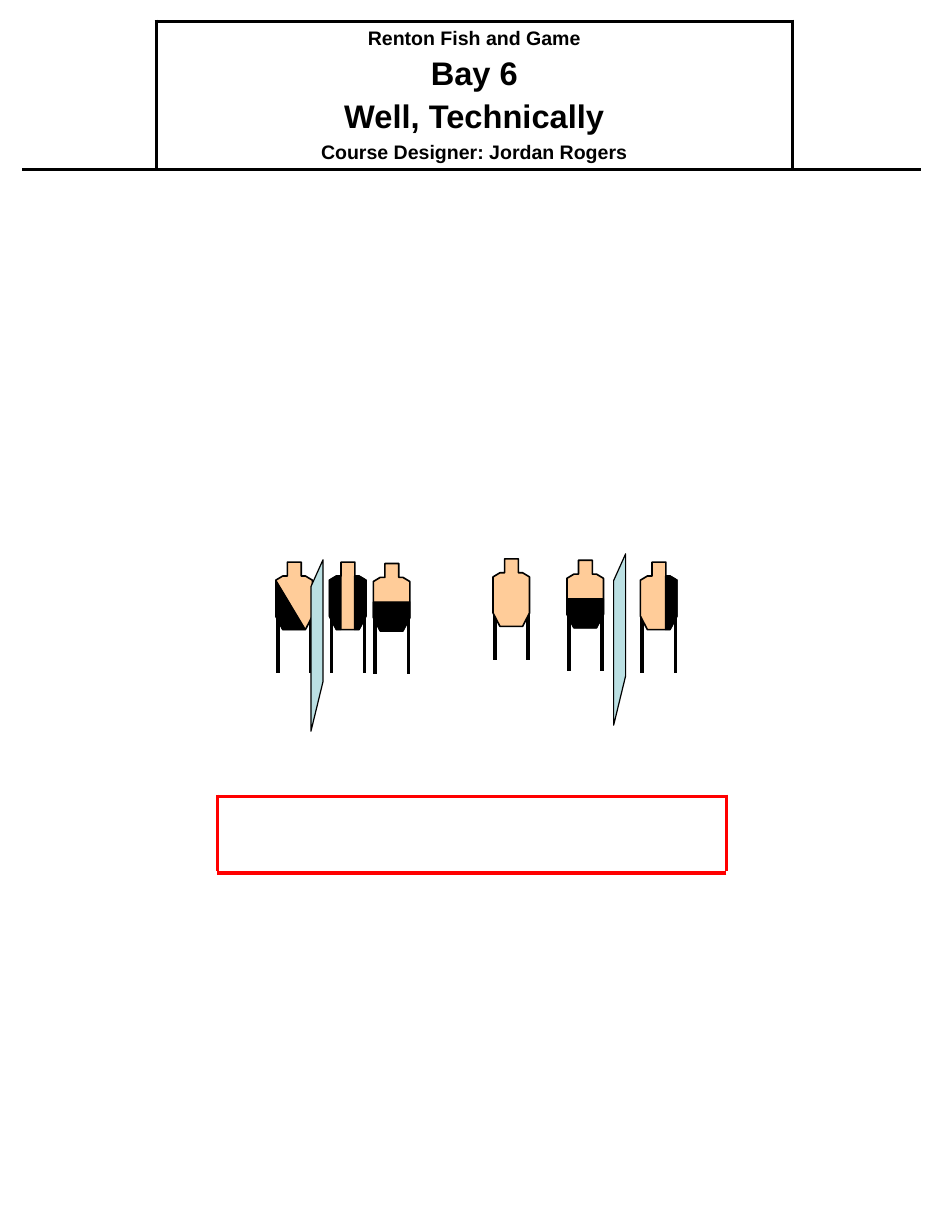
"""Build the Bay 6 course-of-fire stage diagram."""
from dataclasses import dataclass

from lxml import etree
from pptx import Presentation
from pptx.dml.color import RGBColor
from pptx.enum.shapes import MSO_CONNECTOR
from pptx.enum.text import MSO_ANCHOR, PP_ALIGN
from pptx.oxml.ns import qn
from pptx.shapes.shapetree import GroupShapes, SlideShapes
from pptx.table import _Cell
from pptx.util import Cm, Pt

STRAIGHT = MSO_CONNECTOR.STRAIGHT
MIDDLE = MSO_ANCHOR.MIDDLE
CENTER = PP_ALIGN.CENTER

BLACK, WHITE, RED = "000000", "FFFFFF", "FF0000"
CARDBOARD, WALL_BLUE = "FFCC99", "BBE0E3"

Shapes = SlideShapes | GroupShapes
Point = tuple[float, float]
Outline = list[Point]

TARGET_WIDTH = 0.79
SILHOUETTE: Outline = [
    (0.25, 0), (0.55, 0), (0.55, 0.3), (0.64, 0.3), (0.79, 0.39), (0.79, 1.17),
    (0.64, 1.46), (0.15, 1.46), (0, 1.17), (0, 0.39), (0.15, 0.3), (0.25, 0.3),
]
DIAGONAL: Outline = [(0, 0.39), (0, 1.17), (0.15, 1.46), (0.64, 1.46)]
LOWER: Outline = [
    (0, 0.83), (0.79, 0.83), (0.79, 1.17), (0.64, 1.46), (0.15, 1.46), (0, 1.17),
]
RIGHT_SIDE: Outline = [
    (0.54, 0.3), (0.54, 1.46), (0.64, 1.46), (0.79, 1.17), (0.79, 0.39), (0.64, 0.3),
]
LEFT_SIDE: Outline = [(TARGET_WIDTH - x, y) for x, y in RIGHT_SIDE]
WALL: Outline = [(0, 3.71), (0, 0.58), (0.26, 0), (0.26, 2.64)]


@dataclass(frozen=True)
class Target:
    """A cardboard target on two legs with its black hard cover."""
    left: float
    top: float
    hard_covers: tuple[Outline, ...] = ()
    leg_end: float = 2.39


@dataclass(frozen=True)
class Heading:
    """One line of the title block."""
    text: str
    size: float
    space_before: float


TARGETS = [
    Target(5.97, 12.17, (DIAGONAL,)),
    Target(7.13, 12.17, (LEFT_SIDE, RIGHT_SIDE)),
    Target(8.08, 12.2, (LOWER,)),
    Target(10.67, 12.1, leg_end=2.19),
    Target(12.27, 12.13, (LOWER,)),
    Target(13.86, 12.17, (RIGHT_SIDE,)),
]
WALL_CORNERS: Outline = [(6.73, 12.12), (13.28, 11.99)]
HEADINGS = [
    Heading("Renton Fish and Game", 12, 0),
    Heading("Bay 6", 20, 4),
    Heading("Well, Technically", 20, 4),
    Heading("Course Designer: Jordan Rogers", 12, 4.2),
]
TITLE_COLUMNS = [2.9, 13.77, 2.79]
TITLE_BORDERS = ["RB", "LRTB", "LB"]


def color(hex_code: str) -> RGBColor:
    """Turn a hex string into a colour."""
    return RGBColor.from_string(hex_code)


def draw_line(shapes: Shapes, start: Point, end: Point, hex_code: str, width: float) -> None:
    """Draw a straight line without a shadow."""
    line = shapes.add_connector(STRAIGHT, Cm(start[0]), Cm(start[1]), Cm(end[0]), Cm(end[1]))
    line.line.color.rgb = color(hex_code)
    line.line.width = Pt(width)
    etree.SubElement(line._element.spPr, qn("a:effectLst"))


def draw_outline(shapes: Shapes, outline: Outline, corner: Point, fill: str, width: float) -> None:
    """Draw a closed black-edged outline placed at a corner."""
    points = [(Cm(corner[0] + x), Cm(corner[1] + y)) for x, y in outline]
    builder = shapes.build_freeform(*points[0])
    builder.add_line_segments(points[1:], close=True)
    shape = builder.convert_to_shape()
    shape.shadow.inherit = False
    shape.fill.solid()
    shape.fill.fore_color.rgb = color(fill)
    shape.line.color.rgb = color(BLACK)
    shape.line.width = Pt(width)


def draw_target(shapes: Shapes, target: Target) -> None:
    """Draw one target as a group."""
    parts = shapes.add_group_shape().shapes
    for leg in (0.04, 0.76):
        x = target.left + leg
        draw_line(parts, (x, target.top + 1.08), (x, target.top + target.leg_end), BLACK, 2.25)
    corner = (target.left, target.top)
    draw_outline(parts, SILHOUETTE, corner, CARDBOARD, 1)
    for cover in target.hard_covers:
        draw_outline(parts, cover, corner, BLACK, 0.75)


def draw_fault_lines(shapes: Shapes) -> None:
    """Draw the red shooting area as a group of four lines."""
    parts = shapes.add_group_shape().shapes
    left, right = 4.7, 15.72
    for y in (17.25, 18.9):
        draw_line(parts, (right, y), (left, y), RED, 2)
    for x in (left, right):
        draw_line(parts, (x, 17.2), (x, 18.85), RED, 2)


def style_cell(cell: _Cell, sides: str) -> None:
    """Give a cell black borders on the named sides and a white fill."""
    properties = cell._tc.get_or_add_tcPr()
    for side in "LRTB":
        border = etree.SubElement(properties, qn(f"a:ln{side}"), w=str(Pt(2.25)))
        if side in sides:
            fill = etree.SubElement(border, qn("a:solidFill"))
            etree.SubElement(fill, qn("a:srgbClr"), val=BLACK)
        else:
            etree.SubElement(border, qn("a:noFill"))
    cell.fill.solid()
    cell.fill.fore_color.rgb = color(WHITE)


def draw_title_block(shapes: Shapes) -> None:
    """Draw the title table with its headings in the middle cell."""
    frame = shapes.add_table(1, 3, Cm(0.48), Cm(0.46), Cm(sum(TITLE_COLUMNS)), Cm(3.2))
    table = frame.table
    table.first_row = False
    table.horz_banding = False
    for index, (width, sides) in enumerate(zip(TITLE_COLUMNS, TITLE_BORDERS)):
        table.columns[index].width = Cm(width)
        style_cell(table.cell(0, index), sides)
    title = table.cell(0, 1)
    title.vertical_anchor = MIDDLE
    title.margin_left = title.margin_right = Cm(0.13)
    title.margin_top = title.margin_bottom = Cm(0.13)
    title.text = "\n".join(heading.text for heading in HEADINGS)
    for paragraph, heading in zip(title.text_frame.paragraphs, HEADINGS):
        paragraph.alignment = CENTER
        paragraph.space_before = Pt(heading.space_before)
        paragraph.font.name = "Arial"
        paragraph.font.size = Pt(heading.size)
        paragraph.font.bold = True
        paragraph.font.color.rgb = color(BLACK)


def main() -> None:
    """Build the stage slide and save it."""
    presentation = Presentation()
    presentation.slide_width = Cm(20.32)
    presentation.slide_height = Cm(26.67)
    shapes = presentation.slides.add_slide(presentation.slide_layouts[6]).shapes
    draw_title_block(shapes)
    draw_fault_lines(shapes)
    for target in TARGETS:
        draw_target(shapes, target)
    for corner in WALL_CORNERS:
        draw_outline(shapes, WALL, corner, WALL_BLUE, 0.75)
    presentation.save("out.pptx")


if __name__ == "__main__":
    main()
